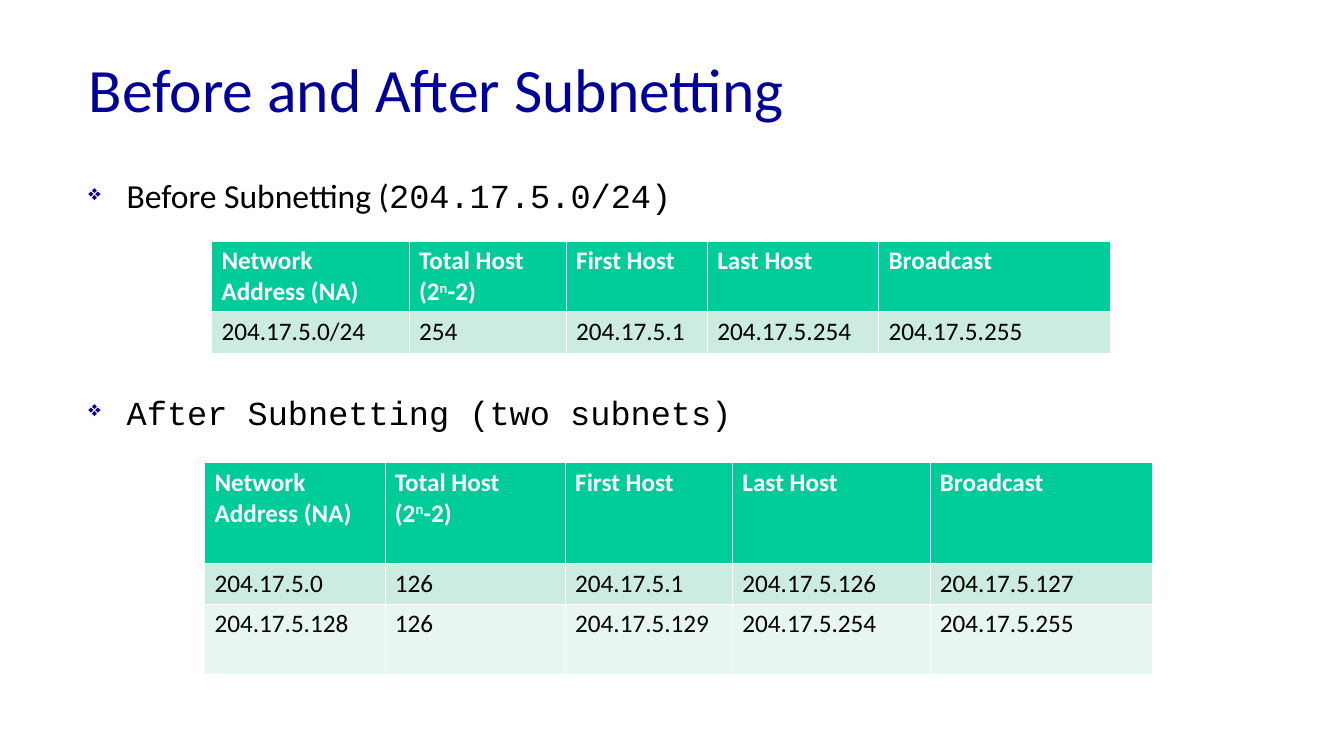
import pptx
import pptx.dml.color
import pptx.enum.text
import pptx.oxml.ns
import pptx.util
from lxml import etree
from pptx.util import Inches

COLORS = {
    "navy": "000099",
    "black": "000000",
    "white": "FFFFFF",
    "header": "00CC99",
    "band": "CBECDE",
    "light": "E7F6EF",
}
HEADINGS = ["Network Address (NA)", "Total Host\n(2^n^-2)", "First Host", "Last Host", "Broadcast"]
BEFORE = [["204.17.5.0/24", "254", "204.17.5.1", "204.17.5.254", "204.17.5.255"]]
AFTER = [
    ["204.17.5.0", "126", "204.17.5.1", "204.17.5.126", "204.17.5.127"],
    ["204.17.5.128", "126", "204.17.5.129", "204.17.5.254", "204.17.5.255"],
]


def color(name):
    return pptx.dml.color.RGBColor.from_string(COLORS[name])


def add_element(parent, tag, **attributes):
    return etree.SubElement(parent, pptx.oxml.ns.qn(tag), attributes)


def style(font, size, name, bold=False, face="Calibri"):
    font.size = pptx.util.Pt(size)
    font.name = face
    font.bold = bold
    font.color.rgb = color(name)


def add_title(page, text):
    title = page.shapes.title
    title.left, title.top = Inches(0.78), Inches(0.25)
    title.width, title.height = Inches(11.33), Inches(1.25)
    frame = title.text_frame
    frame.text = text
    frame.vertical_anchor = pptx.enum.text.MSO_ANCHOR.MIDDLE
    paragraph = frame.paragraphs[0]
    paragraph.alignment = pptx.enum.text.PP_ALIGN.LEFT
    style(paragraph.font, 44, "navy")


def add_bullet(paragraph, spans, space_before):
    """Fill a paragraph with (text, font face) spans behind a diamond bullet."""
    paragraph.line_spacing = 0.85
    paragraph.space_before = pptx.util.Pt(space_before)
    properties = paragraph._p.get_or_add_pPr()
    properties.set("marL", str(Inches(0.38)))
    properties.set("indent", str(-Inches(0.38)))
    bullet_color = add_element(properties, "a:buClr")
    add_element(bullet_color, "a:srgbClr", val=COLORS["navy"])
    add_element(properties, "a:buSzPct", val="65000")
    add_element(properties, "a:buChar", char="❖")
    for text, face in spans:
        span = paragraph.add_run()
        span.text = text
        style(span.font, 24, "black", face=face)


def add_borders(cell, **widths):
    properties = cell._tc.get_or_add_tcPr()
    for side in "LRTB":
        width = pptx.util.Pt(widths.get(side, 0.45))
        line = add_element(properties, f"a:ln{side}", w=str(width))
        fill = add_element(line, "a:solidFill")
        add_element(fill, "a:srgbClr", val=COLORS["white"])


def fill_cell(cell, text, row):
    """Write one cell; carets enclose superscript text."""
    header_edge = {0: {"B": 1.47}, 1: {"T": 1.47}}
    add_borders(cell, **header_edge.get(row, {}))
    cell.fill.solid()
    cell.fill.fore_color.rgb = color(["header", "band", "light"][row])
    frame = cell.text_frame
    for number, line in enumerate(text.split("\n")):
        paragraph = frame.add_paragraph() if number else frame.paragraphs[0]
        style(paragraph.font, 18, "black" if row else "white", bold=row == 0)
        for position, piece in enumerate(line.split("^")):
            span = paragraph.add_run()
            span.text = piece
            style(span.font, 18, "black" if row else "white", bold=row == 0)
            if position % 2:
                span._r.get_or_add_rPr().set("baseline", "30000")


def add_host_table(page, left, top, widths, heights, records):
    frame = page.shapes.add_table(
        len(heights), len(widths), Inches(left), Inches(top),
        Inches(sum(widths)), Inches(sum(heights)))
    table = frame.table
    for column, width in zip(table.columns, widths):
        column.width = Inches(width)
    for row, height in zip(table.rows, heights):
        row.height = Inches(height)
    for row, record in enumerate([HEADINGS] + records):
        for column, text in enumerate(record):
            fill_cell(table.cell(row, column), text, row)


def main():
    deck = pptx.Presentation()
    deck.slide_width, deck.slide_height = Inches(13.34), Inches(7.5)
    page = deck.slides.add_slide(deck.slide_layouts[5])
    add_title(page, "Before and After Subnetting")

    # Bulleted headings, spaced apart to leave room for the first table
    box = page.shapes.add_textbox(Inches(0.78), Inches(1.75), Inches(11.33), Inches(5.08))
    frame = box.text_frame
    frame.word_wrap = True
    add_bullet(frame.paragraphs[0],
               [("Before Subnetting (", "Calibri"), ("204.17.5.0/24)", "Courier New")], 0)
    add_bullet(frame.add_paragraph(), [("After Subnetting (two subnets)", "Courier New")], 130)

    # Address tables
    add_host_table(page, 2.1, 2.39, [1.96, 1.56, 1.4, 1.7, 2.3], [0.7, 0.41], BEFORE)
    add_host_table(page, 2.03, 4.59, [1.79, 1.79, 1.66, 1.96, 2.21], [1, 0.4, 0.7], AFTER)

    deck.save("out.pptx")


if __name__ == "__main__":
    main()
